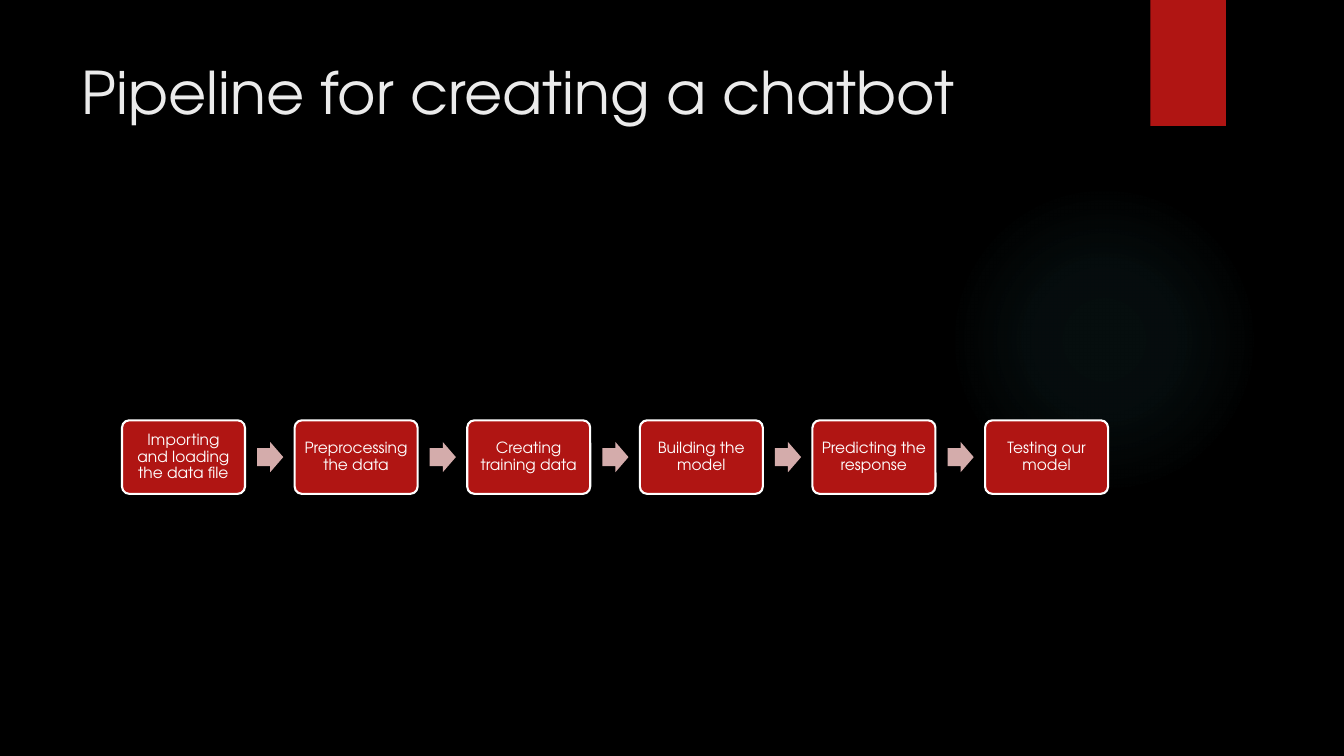
from lxml.etree import SubElement
from pptx import Presentation
from pptx.dml.color import RGBColor
from pptx.enum.shapes import MSO_SHAPE
from pptx.enum.text import MSO_ANCHOR, PP_ALIGN
from pptx.oxml import parse_xml
from pptx.oxml.ns import nsdecls, qn
from pptx.util import Inches, Pt

COLORS = {
    "background": "000000",
    "glow": "50B9C1",
    "accent": "B01513",
    "arrow": "D4ACAB",
    "title": "EBEBEB",
    "white": "FFFFFF",
}
FONT = "TeX Gyre Adventor"
STEPS = [
    "Importing and loading the data file",
    "Preprocessing the data",
    "Creating training data",
    "Building the model",
    "Predicting the response",
    "Testing our model",
]


def rgb(name):
    """Return the named colour."""
    return RGBColor.from_string(COLORS[name])


def add_plain(shapes, preset, box, fill):
    """Add a preset shape with a flat fill, no line and no shadow."""
    shape = shapes.add_shape(preset, *map(Inches, box))
    shape.shadow.inherit = False
    shape.fill.solid()
    shape.fill.fore_color.rgb = rgb(fill)
    shape.line.fill.background()
    return shape


def add_text(frame, text, size, color):
    """Write one run into the first paragraph and return that paragraph."""
    paragraph = frame.paragraphs[0]
    run = paragraph.add_run()
    run.text = text
    run.font.name = FONT
    run.font.size = Pt(size)
    run.font.color.rgb = rgb(color)
    return paragraph


def add_glow(slide, box):
    """Add the faint round glow that fades towards its rim."""
    glow = add_plain(slide.shapes, MSO_SHAPE.OVAL, box, "glow")
    stops = "".join(
        f'<a:gs pos="{position * 1000}"><a:srgbClr val="{COLORS["glow"]}">'
        f'<a:alpha val="{alpha * 1000}"/></a:srgbClr></a:gs>'
        for position, alpha in [(0, 7), (36, 6), (69, 0), (100, 0)]
    )
    gradient = parse_xml(
        f'<a:gradFill {nsdecls("a")} rotWithShape="1"><a:gsLst>{stops}</a:gsLst>'
        '<a:path path="circle"><a:fillToRect l="50000" t="50000" r="50000" b="50000"/>'
        "</a:path></a:gradFill>"
    )
    properties = glow.element.spPr
    properties.replace(properties.find(qn("a:solidFill")), gradient)


def add_ribbon(slide, box):
    """Add the red corner ribbon with its soft shadow."""
    ribbon = add_plain(slide.shapes, MSO_SHAPE.RECTANGLE, box, "accent")
    effects = ribbon.element.spPr.find(qn("a:effectLst"))
    shadow = SubElement(
        effects, qn("a:outerShdw"), blurRad=str(Pt(3)), dist=str(Pt(2)),
        dir="5400000", rotWithShape="0",
    )
    color = SubElement(shadow, qn("a:srgbClr"), val=COLORS["background"])
    SubElement(color, qn("a:alpha"), val="45000")


def add_title(slide, box, text):
    """Place and format the title placeholder."""
    title = slide.shapes.title
    title.left, title.top, title.width, title.height = map(Inches, box)
    frame = title.text_frame
    frame.word_wrap = True
    frame.vertical_anchor = MSO_ANCHOR.TOP
    add_text(frame, text, 42, "title").alignment = PP_ALIGN.LEFT


def add_step(shapes, box, text):
    """Add one rounded step box with its label."""
    step = add_plain(shapes, MSO_SHAPE.ROUNDED_RECTANGLE, box, "accent")
    step.adjustments[0] = 0.1
    step.line.color.rgb = rgb("white")
    step.line.width = Pt(1.5)
    frame = step.text_frame
    frame.word_wrap = True
    frame.vertical_anchor = MSO_ANCHOR.MIDDLE
    frame.margin_left = frame.margin_right = Inches(0.06)
    frame.margin_top = frame.margin_bottom = Inches(0.06)
    label = add_text(frame, text, 11, "white")
    label.alignment = PP_ALIGN.CENTER
    label.line_spacing = 0.9


def add_pipeline(slide, box, steps):
    """Spread the steps evenly over the box, with an arrow in each gap."""
    left, top, width, height = box
    step_width, arrow_width, arrow_height, arrow_gap = 1.22, 0.26, 0.3, 0.12
    pitch = (width - step_width) / (len(steps) - 1)
    shapes = slide.shapes.add_group_shape().shapes
    for index, text in enumerate(steps):
        step_left = left + index * pitch
        add_step(shapes, (step_left, top, step_width, height), text)
        if index < len(steps) - 1:
            arrow_box = (
                step_left + step_width + arrow_gap,
                top + (height - arrow_height) / 2,
                arrow_width,
                arrow_height,
            )
            arrow = add_plain(shapes, MSO_SHAPE.RIGHT_ARROW, arrow_box, "arrow")
            arrow.adjustments[0] = 0.6
            arrow.adjustments[1] = 0.5


def build_pipeline_slide(presentation):
    """Build the chatbot pipeline slide."""
    slide = presentation.slides.add_slide(presentation.slide_layouts[5])
    slide.background.fill.solid()
    slide.background.fill.fore_color.rgb = rgb("background")
    add_glow(slide, (9.41, 1.83, 3.08, 3.08))
    add_ribbon(slide, (11.41, 0, 0.75, 1.25))
    add_title(slide, (0.71, 0.5, 10.29, 1.53), "Pipeline for creating a chatbot")
    add_pipeline(slide, (1.21, 4.17, 9.78, 0.73), STEPS)


presentation = Presentation()
presentation.slide_width = Inches(13.33)
presentation.slide_height = Inches(7.5)
build_pipeline_slide(presentation)
presentation.save("out.pptx")
